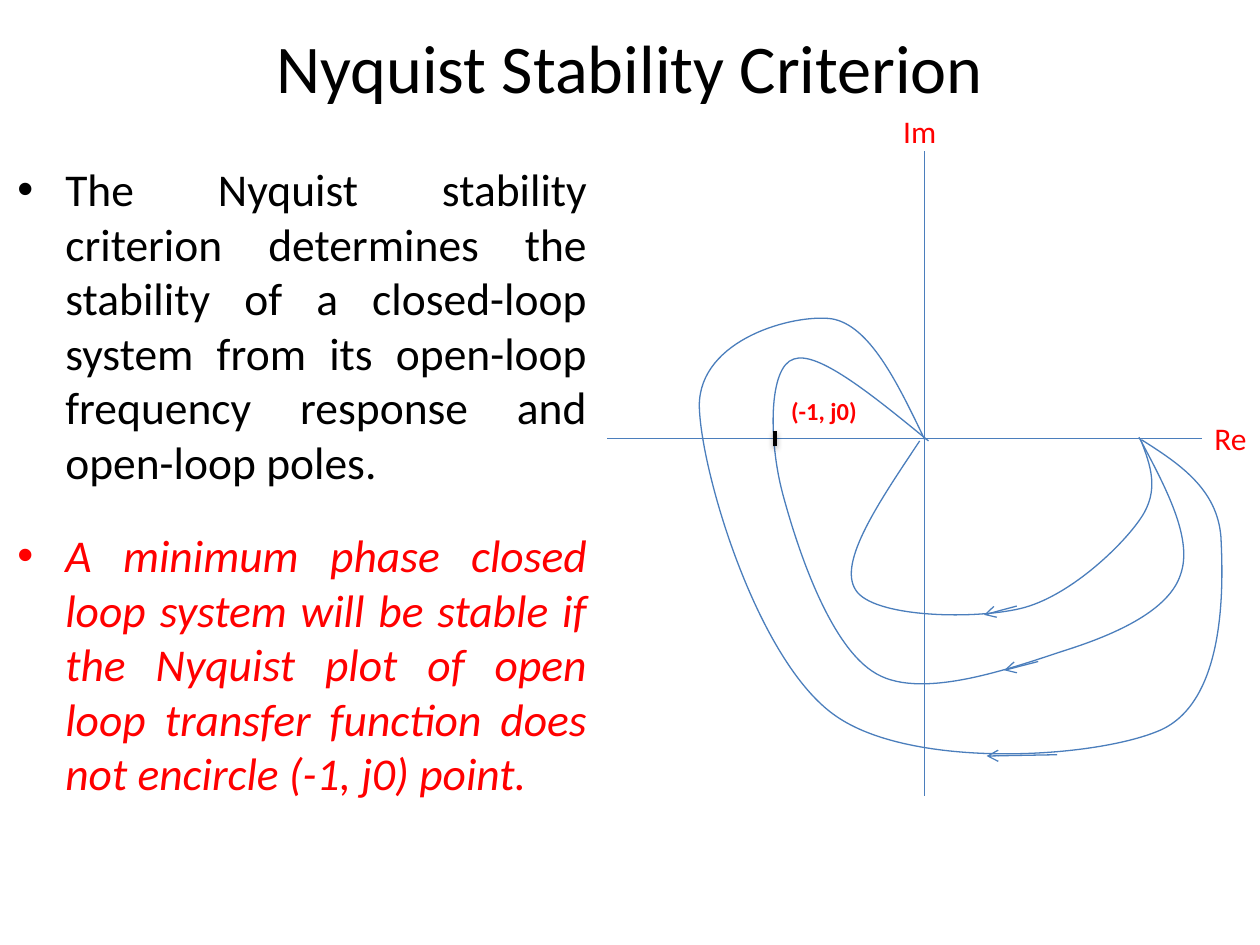
from lxml import etree
from pptx import Presentation
from pptx.dml.color import RGBColor
from pptx.enum.shapes import MSO_CONNECTOR
from pptx.enum.text import MSO_ANCHOR, PP_ALIGN
from pptx.oxml.ns import qn
from pptx.util import Inches, Pt

CENTER, JUSTIFY, LEFT = PP_ALIGN.CENTER, PP_ALIGN.JUSTIFY, PP_ALIGN.LEFT
MIDDLE, TOP = MSO_ANCHOR.MIDDLE, MSO_ANCHOR.TOP
STRAIGHT = MSO_CONNECTOR.STRAIGHT
COLUMNS, ROWS = 100, 75
CELL = Inches(0.1)
BLUE, RED, BLACK = "4B7EBC", "FF0000", "000000"

TITLE_FONT = {"size": Pt(39)}
BODY_FONT = {"size": Pt(26)}
RULE_FONT = {"size": Pt(26), "italic": True}
AXIS_FONT = {"size": Pt(18)}
POINT_FONT = {"size": Pt(14), "bold": True}

CRITERION = (
    "The Nyquist stability criterion determines the stability of a closed-loop "
    "system from its open-loop frequency response and open-loop poles."
)
STABILITY_RULE = (
    "A minimum phase closed loop system will be stable if the Nyquist plot of "
    "open loop transfer function does not encircle (-1, j0) point."
)

MIDDLE_CURVE = [
    (90.4, 34.7),
    (92.6, 38.8), (94.7, 42.8), (93.7, 45.6),
    (92.8, 48.4), (88.7, 50.3), (84.6, 51.6),
    (80.6, 52.9), (73.3, 55.6), (69.6, 53.5),
    (65.8, 51.4), (63.2, 43.2), (62.1, 39.1),
    (61, 34.9), (61, 29.1), (63, 28.5),
    (64.9, 27.8), (69.3, 31.4), (73.7, 35),
]
INNER_CURVE = [
    (90.5, 34.8),
    (91.3, 36.9), (92.1, 38.9), (90.5, 41.2),
    (89, 43.4), (84.8, 47.4), (81, 48.3),
    (77.2, 49.2), (69.2, 49), (67.9, 46.8),
    (66.5, 44.6), (69.8, 39.8), (73, 35),
]
OUTER_CURVE = [
    (90.6, 34.9),
    (93.6, 36.8), (96.6, 38.8), (96.9, 42.6),
    (97.1, 46.5), (97.3, 55.5), (92.2, 57.9),
    (87.1, 60.2), (72.4, 61.1), (66.3, 56.8),
    (60.1, 52.5), (55.6, 37.4), (55.5, 32.2),
    (55.5, 26.9), (63, 24.9), (66, 25.3),
    (69, 25.8), (71.2, 30.3), (73.4, 34.9),
]


def cells(*counts):
    return [round(count * CELL) for count in counts]


def color(hex_value):
    return RGBColor.from_string(hex_value)


def apply_format(target, values):
    for name, value in values.items():
        setattr(target, name, value)


def add_element(parent, tag, **attributes):
    return etree.SubElement(parent, qn(tag), attributes)


def style_line(shape, hex_value, width):
    shape.line.color.rgb = color(hex_value)
    shape.line.width = Pt(width)


def add_text(slide, box, paragraphs, align=LEFT, anchor=TOP, wrap=True, bullet=None):
    frame = slide.shapes.add_textbox(*cells(*box)).text_frame
    apply_format(frame, {"word_wrap": wrap, "vertical_anchor": anchor})
    for index, (text, hex_value, font, space_before) in enumerate(paragraphs):
        paragraph = frame.add_paragraph() if index else frame.paragraphs[0]
        paragraph.text = text
        apply_format(paragraph, {"alignment": align, "space_before": Pt(space_before)})
        if bullet:
            add_bullet(paragraph, bullet)
        run_font = paragraph.runs[0].font
        apply_format(run_font, {"name": "Calibri", **font})
        run_font.color.rgb = color(hex_value)


def add_bullet(paragraph, character):
    properties = paragraph._p.get_or_add_pPr()
    indent = Inches(0.38)
    properties.set("marL", str(indent))
    properties.set("indent", str(-indent))
    add_element(properties, "a:buFont", typeface="Arial")
    add_element(properties, "a:buChar", char=character)


def add_line(slide, start, end, hex_value=BLUE, width=0.75, arrow=False, shadow=False):
    connector = slide.shapes.add_connector(STRAIGHT, *cells(*start, *end))
    style_line(connector, hex_value, width)
    if arrow:
        add_element(connector.line._get_or_add_ln(), "a:tailEnd", type="arrow")
    effects = add_element(connector._element.spPr, "a:effectLst")
    if shadow:
        outer = add_element(effects, "a:outerShdw", blurRad=str(Pt(3.1)),
                            dist=str(Pt(1.6)), dir="5400000", rotWithShape="0")
        shade = add_element(outer, "a:srgbClr", val=BLACK)
        add_element(shade, "a:alpha", val="38000")


def add_curve(slide, points):
    start, *controls = [cells(*point) for point in points]
    builder = slide.shapes.build_freeform(*start)
    builder.add_line_segments(controls, close=False)
    shape = builder.convert_to_shape()
    shape.shadow.inherit = False
    shape.fill.background()
    style_line(shape, BLUE, 0.75)
    outline = next(shape._element.iter(qn("a:path")))
    segments = outline.findall(qn("a:lnTo"))
    for first in range(0, len(segments), 3):
        curve = add_element(outline, "a:cubicBezTo")
        for segment in segments[first:first + 3]:
            curve.append(segment[0])
            outline.remove(segment)


def add_explanation(slide):
    add_text(slide, (5, 1.3, 90, 7.9),
             [("Nyquist Stability Criterion", BLACK, TITLE_FONT, 0)],
             align=CENTER, anchor=MIDDLE)
    add_text(slide, (0.4, 12.3, 47.2, 56.7),
             [(CRITERION, BLACK, BODY_FONT, 0), (STABILITY_RULE, RED, RULE_FONT, 22)],
             align=JUSTIFY, bullet="•")


def add_nyquist_plot(slide):
    for curve in (MIDDLE_CURVE, INNER_CURVE, OUTER_CURVE):
        add_curve(slide, curve)
    add_line(slide, (73.4, 12), (73.4, 63.2))
    add_line(slide, (48.2, 34.8), (95.4, 34.8))
    add_line(slide, (61.5, 34.2), (61.5, 35.4), BLACK, 2, shadow=True)
    for start, end in (
        ((80.7, 48.1), (78.1, 48.8)),
        ((82.4, 52.5), (79.7, 53.2)),
        ((83.9, 59.9), (78.3, 60)),
    ):
        add_line(slide, start, end, arrow=True)
    for text, box, font in (
        ("Im", (70.7, 8.4, 5.8, 5.2), AXIS_FONT),
        ("Re", (95.4, 32.8, 5.8, 5.2), AXIS_FONT),
        ("(-1, j0)", (61.8, 30.9, 7.3, 3.4), POINT_FONT),
    ):
        add_text(slide, box, [(text, RED, font, 0)], wrap=False)


def main():
    presentation = Presentation()
    presentation.slide_width, presentation.slide_height = cells(COLUMNS, ROWS)
    slide = presentation.slides.add_slide(presentation.slide_layouts[6])
    add_explanation(slide)
    add_nyquist_plot(slide)
    presentation.save("out.pptx")


if __name__ == "__main__":
    main()
